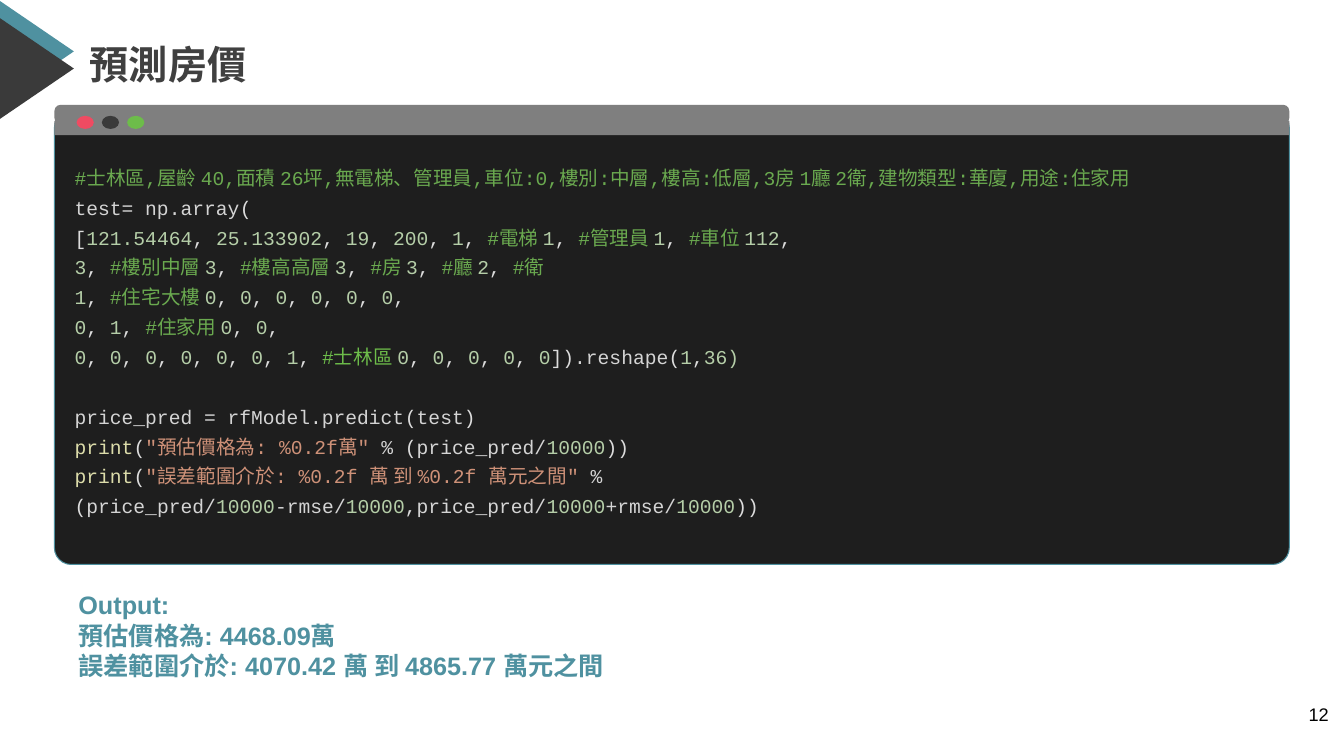
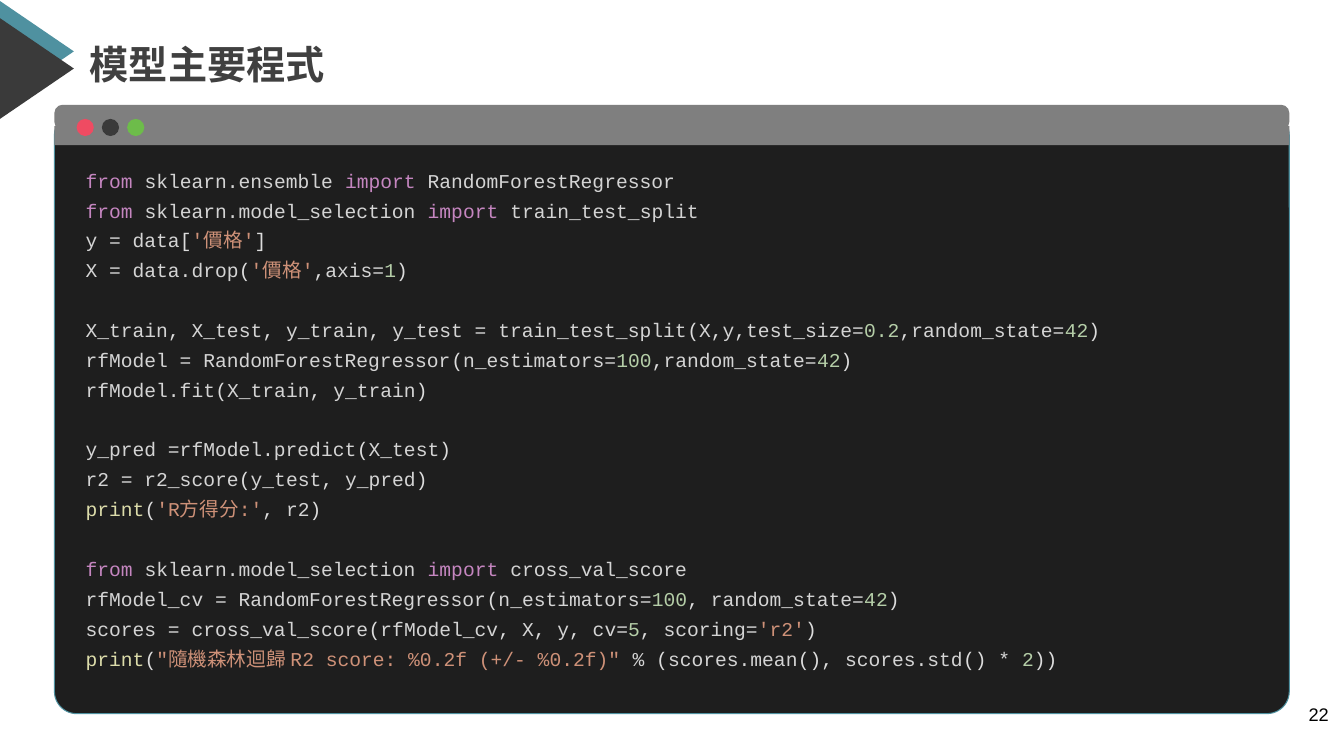
"""Build two slides of highlighted Python code in an editor window."""
from itertools import groupby

from pptx import Presentation
from pptx.dml.color import RGBColor
from pptx.enum.shapes import MSO_SHAPE
from pptx.enum.text import MSO_ANCHOR, MSO_AUTO_SIZE, PP_ALIGN
from pptx.util import Inches, Pt

ROUND, RECT, OVAL = MSO_SHAPE.ROUNDED_RECTANGLE, MSO_SHAPE.RECTANGLE, MSO_SHAPE.OVAL
MIDDLE, LEFT, RIGHT = MSO_ANCHOR.MIDDLE, PP_ALIGN.LEFT, PP_ALIGN.RIGHT
NO_FIT = MSO_AUTO_SIZE.NONE

COLORS = {
    "teal": "4F91A0", "dark": "3A3A3A", "title": "404040", "black": "000000",
    "panel": "1E1E1E", "bar": "7F7F7F", "red": "EF4B62", "green": "6DBC4A",
    "code": "D4D4D4", "punct": "DCDCDC", "number": "B5CEA8", "comment": "6AA94F",
    "keyword": "C586C0", "call": "DCDCAA", "string": "CE9178",
}
MARKS = {"@": "keyword", "!": "call", "~": "string", ">": "comment",
         "^": "green", "&": "number"}
BODY, MONO = "Arial", "Courier New"
LEFT_EDGE, WIDTH = 4.05, 91.88

PREDICT_CODE = """\
>#士林區,屋齡 40,面積 26坪,無電梯、管理員,車位:0,樓別:中層,樓高:低層,3房 1廳 2衛,建物類型:華廈,用途:住家用
test= np.array(
[121.54464, 25.133902, 19, 200, 1, |>#電梯| 1, |>#管理員| 1, |>#車位| 112,
3, |>#樓別中層| 3, |>#樓高高層| 3, |>#房| 3, |>#廳| 2, |>#衛
1, |>#住宅大樓| 0, 0, 0, 0, 0, 0,
0, 1, |>#住家用| 0, 0,
0, 0, 0, 0, 0, 0, 1, |^#士林區| 0, 0, 0, 0, 0]).reshape(1,|&36)

price_pred = rfModel.predict(test)
!print|(|~"預估價格為: %0.2f萬"| % (price_pred/|10000))
!print|(|~"誤差範圍介於: %0.2f 萬 到 %0.2f 萬元之間"| % (price_pred/|10000|-rmse/|10000,price_pred/|10000|+rmse/|10000))"""

MODEL_CODE = """\
@from| sklearn.ensemble |@import| RandomForestRegressor
@from| sklearn.model_selection |@import| train_test_split
y = data[|~'價格'|]
X = data.drop(|~'價格'|,axis=|1)

X_train, X_test, y_train, y_test = train_test_split(X,y,test_size=|0.2,random_state=|42)
rfModel = RandomForestRegressor(n_estimators=|100,random_state=|42)
rfModel.fit(X_train, y_train)

y_pred =rfModel.predict(X_test)
r2 = r2_score(y_test, y_pred)
!print|(|~'R方得分:'|, r2)

@from| sklearn.model_selection |@import| cross_val_score
rfModel_cv = RandomForestRegressor(n_estimators=|100, random_state=|42)
scores = cross_val_score(rfModel_cv, X, y, cv=|5, scoring=|~'r2'|)
!print|(|~"隨機森林迴歸 R2 score: %0.2f (+/- %0.2f)"| % (scores.mean(), scores.std() * |2))"""

SLIDES = [
    {"title": "預測房價", "number": "12", "code": PREDICT_CODE,
     "panel": (14.67, 60), "cap": 2.53, "strip": (16, 1.87), "dots": (15.33, 1.73),
     "code_box": (5.55, 21.07, 83.93, 50.67), "inset": (0, 0),
     "output": ["Output:", "預估價格為: 4468.09萬",
                "誤差範圍介於: 4070.42 萬 到 4865.77 萬元之間"]},
    {"title": "模型主要程式", "number": "22", "code": MODEL_CODE,
     "panel": (14.93, 79.47), "cap": 3.33, "strip": (16.67, 2.53), "dots": (15.73, 2.27),
     "code_box": (5.63, 20.8, 88.73, 72.27), "inset": (0.1, 0.05),
     "output": []},
]

prs = Presentation()
prs.slide_width, prs.slide_height = Inches(13.33), Inches(7.5)


def at(x, y, w, h):
    """Turn percentages of the slide into lengths."""
    return [int(v * side / 100) for v, side in
            zip((x, y, w, h), (prs.slide_width, prs.slide_height) * 2)]


def add_run(p, text, color, size, font=BODY, bold=False):
    """Append one formatted run to a paragraph."""
    r = p.add_run()
    r.text = text
    r.font.name, r.font.size, r.font.bold = font, Pt(size), bold
    r.font.color.rgb = RGBColor.from_string(COLORS[color])


layout = prs.slide_layouts[5]
title = layout.placeholders[0]
title.left, title.top, title.width, title.height = at(6.68, 4.53, 41.25, 8.67)

for spec in SLIDES:
    s = prs.slides.add_slide(layout)

    for top, color in ((0.13, "teal"), (2.4, "dark")):
        corners = [at(x, top + y, 0, 0)[:2] for x, y in ((0, 0), (5.5, 6.67), (0, 13.33))]
        builder = s.shapes.build_freeform(*corners[0])
        builder.add_line_segments(corners[1:])
        sp = builder.convert_to_shape()
        sp.shadow.inherit = False
        sp.fill.solid()
        sp.fill.fore_color.rgb = RGBColor.from_string(COLORS[color])
        sp.line.fill.background()

    tf = s.shapes.title.text_frame
    tf.margin_left = tf.margin_right = tf.margin_top = tf.margin_bottom = 0
    tf.vertical_anchor, tf.auto_size = MIDDLE, NO_FIT
    p = tf.paragraphs[0]
    p.alignment, p.line_spacing = LEFT, 0.9
    add_run(p, spec["title"], "title", 28, bold=True)

    top, height = spec["panel"]
    strip_top, strip_height = spec["strip"]
    dot_top, dot_height = spec["dots"]
    window = [
        (ROUND, (LEFT_EDGE, top, WIDTH, height), "panel", 0.037),
        (ROUND, (LEFT_EDGE, 13.87, WIDTH, spec["cap"]), "bar", 0.318),
        (RECT, (LEFT_EDGE, strip_top, WIDTH, strip_height), "bar", None),
    ]
    for i, color in enumerate(("red", "dark", "green")):
        window.append((OVAL, (5.7 + 1.88 * i, dot_top, 1.28, dot_height), color, None))
    for kind, box, color, radius in window:
        sp = s.shapes.add_shape(kind, *at(*box))
        sp.shadow.inherit = False
        sp.fill.solid()
        sp.fill.fore_color.rgb = RGBColor.from_string(COLORS[color])
        if radius is not None:
            sp.adjustments[0] = radius
        if color == "panel":
            sp.line.color.rgb = RGBColor.from_string(COLORS["teal"])
            sp.line.width = Pt(0.75)
        else:
            sp.line.fill.background()

    tf = s.shapes.add_textbox(*at(*spec["code_box"])).text_frame
    tf.word_wrap = True
    tf.margin_left = tf.margin_right = Inches(spec["inset"][0])
    tf.margin_top = tf.margin_bottom = Inches(spec["inset"][1])
    p = tf.paragraphs[0]
    for block_no, block in enumerate(spec["code"].split("\n\n")):
        for line_no, line in enumerate(block.split("\n")):
            if block_no or line_no:
                p = tf.add_paragraph()
            p.line_spacing = 1.27
            if block_no and not line_no:
                p.space_before = Pt(21.3)
            for part in line.split("|"):
                if part[0] in MARKS:
                    add_run(p, part[1:], MARKS[part[0]], 14, MONO)
                    continue
                for is_punct, chars in groupby(part, lambda c: c in "()[],"):
                    text = "".join(chars)
                    is_number = text.strip().replace(".", "").isdigit()
                    color = "punct" if is_punct else "number" if is_number else "code"
                    add_run(p, text, color, 14, MONO)

    if spec["output"]:
        tf = s.shapes.add_textbox(*at(5.1, 76.67, 56.1, 19.2)).text_frame
        tf.word_wrap = True
        tf.margin_top = tf.margin_bottom = Inches(0.1)
        for i, line in enumerate(spec["output"]):
            p = tf.add_paragraph() if i else tf.paragraphs[0]
            add_run(p, line, "teal", 18, bold=True)

    tf = s.shapes.add_textbox(*at(93.6, 92.4, 6, 7.6)).text_frame
    tf.word_wrap = True
    p = tf.paragraphs[0]
    p.alignment = RIGHT
    add_run(p, spec["number"], "black", 13)

prs.save("out.pptx")
